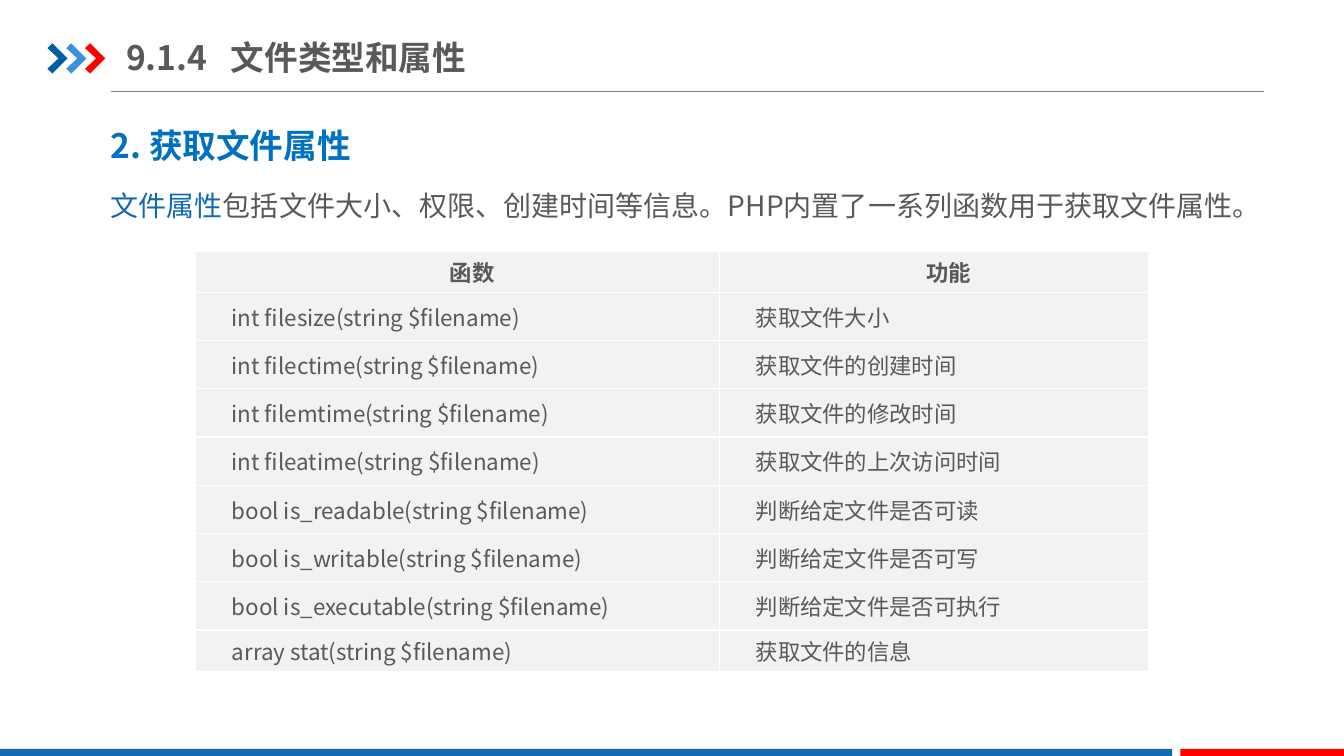
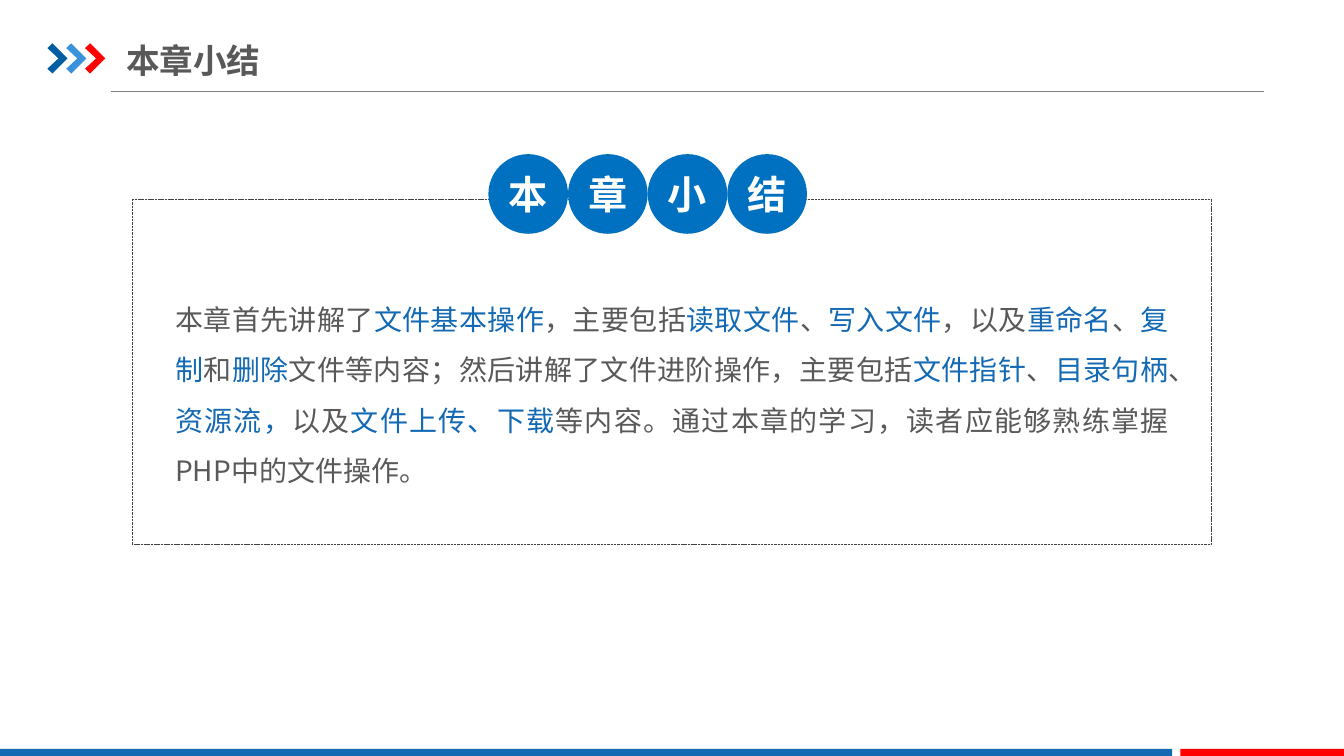
from collections import namedtuple

from lxml import etree
from pptx import Presentation
from pptx import util as u
from pptx.dml.color import RGBColor
from pptx.enum import dml, shapes, text
from pptx.oxml.ns import qn

FONT = "Noto Sans CJK SC"
WHITE, GREY, PALE, RULE, DASH = "FFFFFF", "595959", "F2F2F2", "808080", "404040"
BLUE, TERM, BAND, RED = "0070C0", "1369B3", "1369B2", "FF0000"
CHEVRONS = ["005DA2", "3992DB", RED]
WIDTH, HEIGHT = u.Inches(13.333), u.Inches(7.5)

Box = namedtuple("Box", "left top width height")
Span = namedtuple("Span", "words color", defaults=[GREY])


def grid(left, top, width, height):
    """Box on a grid of 100 columns and 100 rows over the slide."""
    return Box(int(left * WIDTH / 100), int(top * HEIGHT / 100),
               int(width * WIDTH / 100), int(height * HEIGHT / 100))


def inside(box, left, top, width, height):
    """Box given as shares of another box."""
    return Box(int(box.left + left * box.width), int(box.top + top * box.height),
               int(width * box.width), int(height * box.height))


def rgb(color):
    return RGBColor.from_string(color)


def paint(shape, fill=None):
    shape.shadow.inherit = False
    if fill:
        shape.fill.solid()
        shape.fill.fore_color.rgb = rgb(fill)
    else:
        shape.fill.background()
    shape.line.fill.background()


def write(para, spans, size, bold=False):
    for span in spans:
        run = para.add_run()
        run.text = span.words
        run.font.size, run.font.bold, run.font.name = u.Pt(size), bold, FONT
        run.font.color.rgb = rgb(span.color)
        east_asian = etree.SubElement(run.font._element, qn("a:ea"))
        east_asian.set("typeface", FONT)


def set_frame(frame, inset_x=0.1, inset_y=0.05, anchor=text.MSO_ANCHOR.TOP):
    frame.word_wrap = True
    frame.auto_size = text.MSO_AUTO_SIZE.NONE
    frame.vertical_anchor = anchor
    frame.margin_left = frame.margin_right = u.Inches(inset_x)
    frame.margin_top = frame.margin_bottom = u.Inches(inset_y)
    return frame.paragraphs[0]


def add_text(page, box, spans, size, bold=False, inset_x=0.1, inset_y=0.05):
    para = set_frame(page.shapes.add_textbox(*box).text_frame, inset_x, inset_y)
    write(para, spans, size, bold)
    return para


def add_chevron(page, box, color):
    outline = [(0.25, 0), (1, 0.5), (0.25, 1), (0, 0.84), (0.55, 0.5), (0, 0.16)]
    points = [(int(box.left + x * box.width), int(box.top + y * box.height))
              for x, y in outline]
    builder = page.shapes.build_freeform(*points[0])
    builder.add_line_segments(points[1:], close=True)
    paint(builder.convert_to_shape(), color)


def add_page(deck, title, box, tab=None):
    """Title-only slide with the shared rule, chevrons and footer bands."""
    page = deck.slides.add_slide(deck.slide_layouts[5])
    rule = grid(8.25, 12.13, 85.8, 0)
    line = page.shapes.add_connector(shapes.MSO_CONNECTOR.STRAIGHT, rule.left, rule.top,
                                     rule.left + rule.width, rule.top)
    line.line.color.rgb, line.line.width = rgb(RULE), u.Pt(0.75)
    etree.SubElement(line._element.spPr, qn("a:effectLst"))
    for index, color in enumerate(CHEVRONS):
        add_chevron(page, grid(3.53 + 1.4 * index, 5.73, 1.5, 4), color)
    for left, width, color in [(0, 87.22, BAND), (87.82, 12.18, RED)]:
        band = page.shapes.add_shape(shapes.MSO_SHAPE.RECTANGLE,
                                     *grid(left, 99.07, width, 0.93))
        paint(band, color)

    heading = page.shapes.title
    heading.left, heading.top, heading.width, heading.height = box
    para = set_frame(heading.text_frame, 0, 0.07, text.MSO_ANCHOR.MIDDLE)
    para.alignment = text.PP_ALIGN.LEFT
    if tab:
        stops = etree.SubElement(para._p.get_or_add_pPr(), qn("a:tabLst"))
        etree.SubElement(stops, qn("a:tab"), pos=str(u.Inches(tab)), algn="l")
    write(para, [Span(title)], 24, True)
    return page


def set_borders(cell, color, points):
    props = cell._tc.get_or_add_tcPr()
    for index, side in enumerate(["lnL", "lnR", "lnT", "lnB"]):
        border = etree.Element(qn("a:" + side), w=str(u.Pt(points)))
        fill = etree.SubElement(border, qn("a:solidFill"))
        etree.SubElement(fill, qn("a:srgbClr"), val=color)
        props.insert(index, border)


def add_function_table(page, box, rows):
    frame = page.shapes.add_table(len(rows), len(rows[0]), *box)
    table = frame.table
    table.first_row = table.horz_banding = False
    for column, share in zip(table.columns, [0.55, 0.45]):
        column.width = int(box.width * share)
    edge_height = int(box.height * 0.098)
    inner_height = (box.height - 2 * edge_height) // (len(rows) - 2)
    for row_index, row in enumerate(rows):
        at_edge = row_index in (0, len(rows) - 1)
        table.rows[row_index].height = edge_height if at_edge else inner_height
        for column_index, words in enumerate(row):
            cell = table.cell(row_index, column_index)
            cell.fill.solid()
            cell.fill.fore_color.rgb = rgb(PALE)
            set_borders(cell, WHITE, 1)
            cell.vertical_anchor = text.MSO_ANCHOR.MIDDLE
            cell.margin_left = cell.margin_right = u.Inches(0.07)
            cell.margin_top = cell.margin_bottom = 0
            para = cell.text_frame.paragraphs[0]
            header = row_index == 0
            para.alignment = text.PP_ALIGN.CENTER if header else text.PP_ALIGN.LEFT
            para._p.get_or_add_pPr().set("indent", str(u.Inches(0.29)))
            write(para, [Span(words)], 16, header)


def add_summary(page, box, label, spans):
    """Dashed panel with a justified text and a row of lettered circles on its top edge."""
    panel = page.shapes.add_shape(shapes.MSO_SHAPE.RECTANGLE, *box)
    paint(panel)
    panel.line.color.rgb, panel.line.width = rgb(DASH), u.Pt(0.25)
    panel.line.dash_style = dml.MSO_LINE.SQUARE_DOT

    para = add_text(page, inside(box, 0.04, 0.25, 0.92, 0.59), spans, 20,
                    inset_x=0, inset_y=0)
    para.alignment, para.line_spacing = text.PP_ALIGN.JUSTIFY, 1.5

    size = u.Inches(0.79)
    left, top = int(box.left + 0.33 * box.width), int(box.top - 0.57 * size)
    for index, letter in enumerate(label):
        circle = page.shapes.add_shape(shapes.MSO_SHAPE.OVAL, left + index * size, top,
                                       size, size)
        paint(circle, BLUE)
        para = set_frame(circle.text_frame, 0, 0, text.MSO_ANCHOR.MIDDLE)
        para.alignment = text.PP_ALIGN.CENTER
        write(para, [Span(letter, WHITE)], 28, True)


def build_attributes(deck):
    page = add_page(deck, "9.1.4\t文件类型和属性", grid(9.38, 3.87, 31.95, 7.33), tab=1.04)
    add_text(page, grid(7.5, 15.87, 32.85, 6.67), [Span("2. 获取文件属性", BLUE)], 24, True)
    add_text(page, grid(7.5, 24.27, 87.5, 5.87), [
        Span("文件属性", TERM),
        Span("包括文件大小、权限、创建时间等信息。PHP内置了一系列函数用于获取文件属性。"),
    ], 20)
    add_function_table(page, grid(14.55, 33.2, 70.88, 55.6), [
        ("函数", "功能"),
        ("int filesize(string $filename)", "获取文件大小"),
        ("int filectime(string $filename)", "获取文件的创建时间"),
        ("int filemtime(string $filename)", "获取文件的修改时间"),
        ("int fileatime(string $filename)", "获取文件的上次访问时间"),
        ("bool is_readable(string $filename)", "判断给定文件是否可读"),
        ("bool is_writable(string $filename)", "判断给定文件是否可写"),
        ("bool is_executable(string $filename)", "判断给定文件是否可执行"),
        ("array stat(string $filename)", "获取文件的信息"),
    ])


def build_summary(deck):
    page = add_page(deck, "本章小结", grid(9.38, 4.8, 39.45, 6.4))
    add_summary(page, grid(9.83, 26.4, 80.33, 45.6), "本章小结", [
        Span("本章首先讲解了"), Span("文件基本操作", TERM),
        Span("，主要包括"), Span("读取文件", TERM),
        Span("、"), Span("写入文件", TERM),
        Span("，以及"), Span("重命名", TERM),
        Span("、"), Span("复制", TERM),
        Span("和"), Span("删除", TERM),
        Span("文件等内容；然后讲解了文件进阶操作，主要包括"), Span("文件指针", TERM),
        Span("、"), Span("目录句柄", TERM),
        Span("、"), Span("资源流，", TERM),
        Span("以及"), Span("文件上传、下载", TERM),
        Span("等内容。通过本章的学习，读者应能够熟练掌握PHP中的文件操作。"),
    ])


def main():
    deck = Presentation()
    deck.slide_width, deck.slide_height = WIDTH, HEIGHT
    build_attributes(deck)
    build_summary(deck)
    deck.save("out.pptx")


if __name__ == "__main__":
    main()
